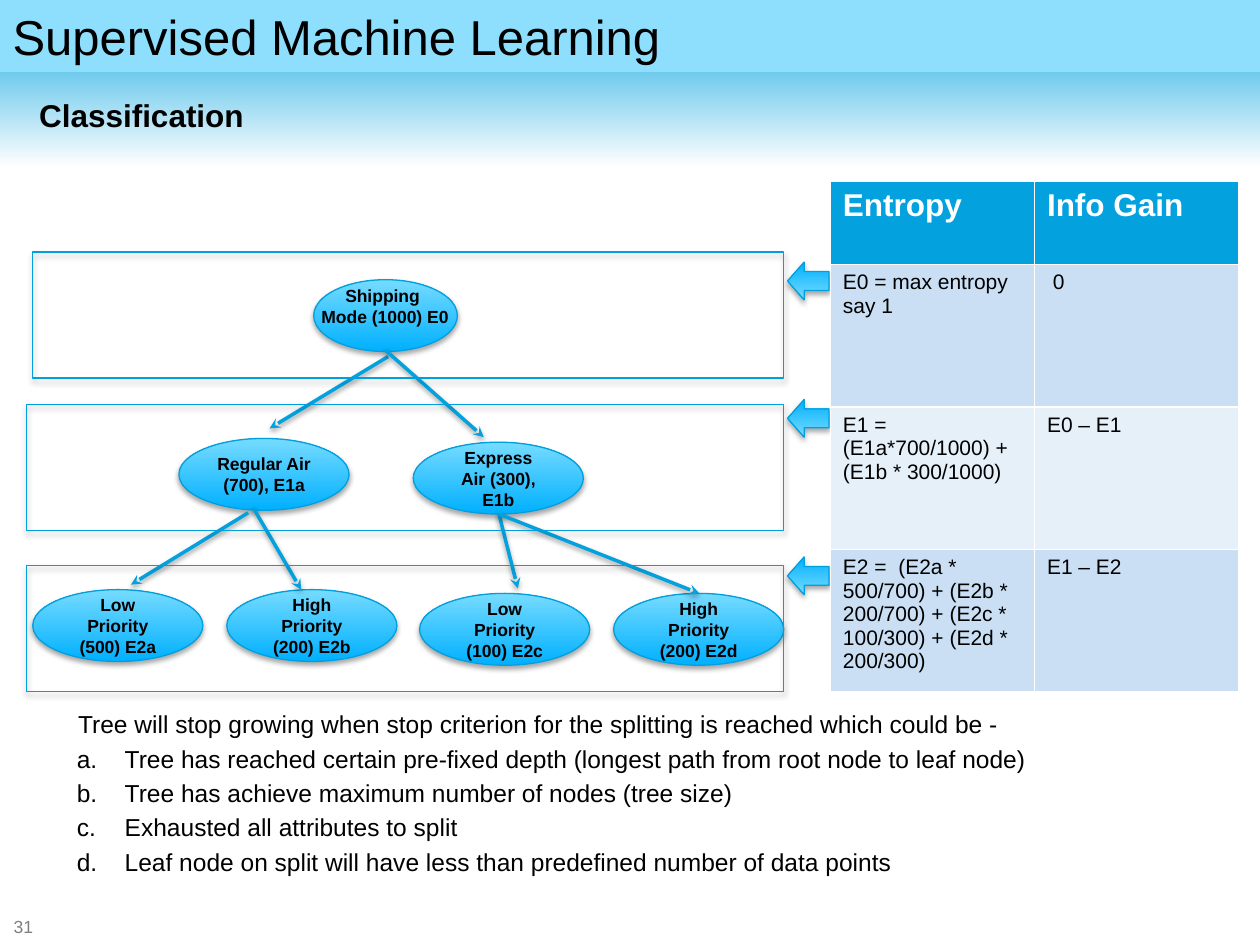
from lxml.etree import SubElement
from pptx import Presentation
from pptx.dml.color import RGBColor
from pptx.enum.shapes import MSO_CONNECTOR, MSO_SHAPE
from pptx.enum.text import MSO_ANCHOR, MSO_AUTO_SIZE, PP_ALIGN
from pptx.oxml.ns import qn
from pptx.util import Inches, Pt

BLACK = RGBColor(0x00, 0x00, 0x00)
WHITE = RGBColor(0xFF, 0xFF, 0xFF)
GRAY = RGBColor(0x7F, 0x7F, 0x7F)
ACCENT = RGBColor(0x03, 0xA2, 0xDF)
OUTLINE = RGBColor(0x00, 0xA0, 0xDE)
TITLE_BLUE = RGBColor(0x8E, 0xDE, 0xFD)
NODE_DARK = RGBColor(0x00, 0xB0, 0xFF)
NODE_LIGHT = RGBColor(0x76, 0xDB, 0xFF)
ROW_DARK = RGBColor(0xCA, 0xDF, 0xF3)
ROW_LIGHT = RGBColor(0xE6, 0xF0, 0xF9)

NODE_SIZE = (1.35, 0.57)
ROOT = (2.28, 0.22, 1.14, 0.57)
NODES = [
    (1.21, 1.48, "Regular Air (700), E1a"),
    (3.07, 1.51, "Express Air (300), E1b"),
    (0.05, 2.68, "Low Priority (500) E2a"),
    (1.59, 2.68, "High Priority (200) E2b"),
    (3.12, 2.71, "Low Priority (100) E2c"),
    (4.66, 2.71, "High Priority (200) E2d"),
]
BRANCHES = [
    (2.87, 0.83, 1.93, 1.4), (2.85, 0.78, 3.63, 1.47),
    (1.76, 2.07, 0.83, 2.64), (1.8, 2.03, 2.18, 2.68),
    (3.75, 2.08, 3.9, 2.67), (3.75, 2.08, 5.34, 2.71),
]
LEVELS = [(0.05, 0, 5.96, 1), (0, 1.21, 6.01, 1), (0, 2.49, 6.01, 1)]
ENTROPY = [
    ("Entropy", "Info Gain"),
    ("E0 = max entropy say 1", " 0"),
    ("E1 = (E1a*700/1000) + (E1b * 300/1000)", "E0 – E1"),
    ("E2 =  (E2a * 500/700) + (E2b * 200/700) + (E2c * 100/300) + (E2d * 200/300)",
     "E1 – E2"),
]
CRITERIA = [
    "Tree will stop growing when stop criterion for the splitting is reached which could be -",
    "Tree has reached certain pre-fixed depth (longest path from root node to leaf node)",
    "Tree has achieve maximum number of nodes (tree size)",
    "Exhausted all attributes to split",
    "Leaf node on split will have less than predefined number of data points",
]


def place(shape, box):
    shape.left, shape.top, shape.width, shape.height = map(Inches, box)


def offset(box, part):
    return (box[0] + part[0], box[1] + part[1], *part[2:])


def set_text(frame, lines, size, color=BLACK, bold=False,
             align=PP_ALIGN.LEFT, anchor=MSO_ANCHOR.TOP):
    frame.text = "\n".join(lines)
    frame.word_wrap = True
    frame.auto_size = MSO_AUTO_SIZE.NONE
    frame.vertical_anchor = anchor
    for paragraph in frame.paragraphs:
        paragraph.alignment = align
        font = paragraph.font
        font.name, font.size, font.bold = "Arial", Pt(size), bold
        font.color.rgb = color


def add_shadow(shape, distance=1.8, opacity=35):
    effects = SubElement(shape._element.spPr, qn("a:effectLst"))
    shadow = SubElement(effects, qn("a:outerShdw"), blurRad=str(Pt(3.1)),
                        dist=str(Pt(distance)), dir="5400000", rotWithShape="0")
    color = SubElement(shadow, qn("a:srgbClr"), val="000000")
    SubElement(color, qn("a:alpha"), val=str(opacity * 1000))


def set_gradient(shape, start, end, angle):
    shape.fill.gradient()
    shape.fill.gradient_angle = angle
    for stop, position, color in zip(shape.fill.gradient_stops, (0, 1), (start, end)):
        stop.position = position
        stop.color.rgb = color


def add_outlined(slide, kind, box, filled=True):
    shape = slide.shapes.add_shape(kind, *map(Inches, box))
    if filled:
        set_gradient(shape, NODE_DARK, NODE_LIGHT, 90)
    else:
        shape.fill.background()
    shape.line.color.rgb = OUTLINE
    shape.line.width = Pt(0.75)
    add_shadow(shape)
    return shape


def add_branch(slide, ends):
    branch = slide.shapes.add_connector(MSO_CONNECTOR.STRAIGHT, *map(Inches, ends))
    branch.line.color.rgb = ACCENT
    branch.line.width = Pt(2)
    SubElement(branch.line._get_or_add_ln(), qn("a:tailEnd"), type="stealth")
    add_shadow(branch, 1.6, 38)


def add_header(slide, box):
    band = slide.shapes.add_shape(MSO_SHAPE.RECTANGLE, *map(Inches, box))
    band.shadow.inherit = False
    band.line.fill.background()
    set_gradient(band, ACCENT, WHITE, 270)
    slide.shapes._spTree.insert(2, band._element)

    title = slide.shapes.title
    place(title, offset(box, (0, 0, box[2], 0.57)))
    title.fill.solid()
    title.fill.fore_color.rgb = TITLE_BLUE
    set_text(title.text_frame, ["Supervised Machine Learning"], 28)

    subtitle = slide.placeholders[1]
    place(subtitle, offset(box, (0.21, 0.71, 9.21, 0.45)))
    set_text(subtitle.text_frame, ["Classification"], 18, bold=True)
    set_bullet(subtitle.text_frame.paragraphs[0], 0, 0)


def set_bullet(paragraph, margin, indent, scheme=None):
    properties = paragraph._p.get_or_add_pPr()
    properties.set("marL", str(Inches(margin)))
    properties.set("indent", str(Inches(indent)))
    if scheme:
        SubElement(properties, qn("a:buFont"), typeface="+mj-lt")
        bullet = SubElement(properties, qn("a:buAutoNum"), type=scheme)
    else:
        bullet = SubElement(properties, qn("a:buNone"))
    font = properties.find(qn("a:defRPr"))
    if font is not None:
        bullet.addnext(font)


def add_tree(slide, box):
    add_outlined(slide, MSO_SHAPE.OVAL, offset(box, ROOT))
    label = slide.shapes.add_textbox(*map(Inches, offset(box, (2.17, 0.21, 1.35, 0.44))))
    set_text(label.text_frame, ["Shipping ", "Mode (1000) E0"], 10, bold=True,
             align=PP_ALIGN.CENTER)
    for left, top, text in NODES:
        node = add_outlined(slide, MSO_SHAPE.OVAL, offset(box, (left, top, *NODE_SIZE)))
        set_text(node.text_frame, [text], 10, bold=True,
                 align=PP_ALIGN.CENTER, anchor=MSO_ANCHOR.MIDDLE)
    for x1, y1, x2, y2 in BRANCHES:
        add_branch(slide, offset(box, (x1, y1)) + offset(box, (x2, y2)))
    for level in LEVELS:
        add_outlined(slide, MSO_SHAPE.RECTANGLE, offset(box, level), filled=False)
    for top in (0.08, 1.17, 2.42):
        arrow = add_outlined(slide, MSO_SHAPE.RIGHT_ARROW, offset(box, (6.04, top, 0.33, 0.3)))
        arrow.rotation = 180
        arrow.adjustments[1] = 0.44


def add_entropy_table(slide, box):
    table = slide.shapes.add_table(len(ENTROPY), 2, *map(Inches, box)).table
    for index, texts in enumerate(ENTROPY):
        header = index == 0
        table.rows[index].height = Inches(0.66 if header else 1.13)
        for cell, text in zip(table.rows[index].cells, texts):
            set_text(cell.text_frame, [text], 18 if header else 12,
                     WHITE if header else BLACK, header)
            cell.fill.solid()
            cell.fill.fore_color.rgb = (
                ACCENT if header else ROW_DARK if index % 2 else ROW_LIGHT)


def add_criteria(slide, box):
    body = slide.placeholders[2]
    place(body, box)
    set_text(body.text_frame, CRITERIA, 14)
    intro, *items = body.text_frame.paragraphs
    intro.space_before = Pt(0)
    set_bullet(intro, 0.56, 0)
    for item in items:
        item.space_before = Pt(2.8)
        set_bullet(item, 0.93, -0.38, "alphaLcPeriod")


def add_page_number(slide, box):
    number = slide.shapes.add_textbox(*map(Inches, box))
    set_text(number.text_frame, ["31"], 10, GRAY, anchor=MSO_ANCHOR.MIDDLE)


def main():
    presentation = Presentation()
    presentation.slide_width, presentation.slide_height = Inches(10), Inches(7.5)
    slide = presentation.slides.add_slide(presentation.slide_layouts[3])
    add_header(slide, (0, 0, 10, 1.33))
    add_tree(slide, (0.21, 2))
    add_entropy_table(slide, (6.59, 1.44, 3.24, 4.05))
    add_criteria(slide, (-0.04, 5.58, 9.37, 1.75))
    add_page_number(slide, (0.01, 7.27, 0.39, 0.16))
    presentation.save("out.pptx")


if __name__ == "__main__":
    main()
